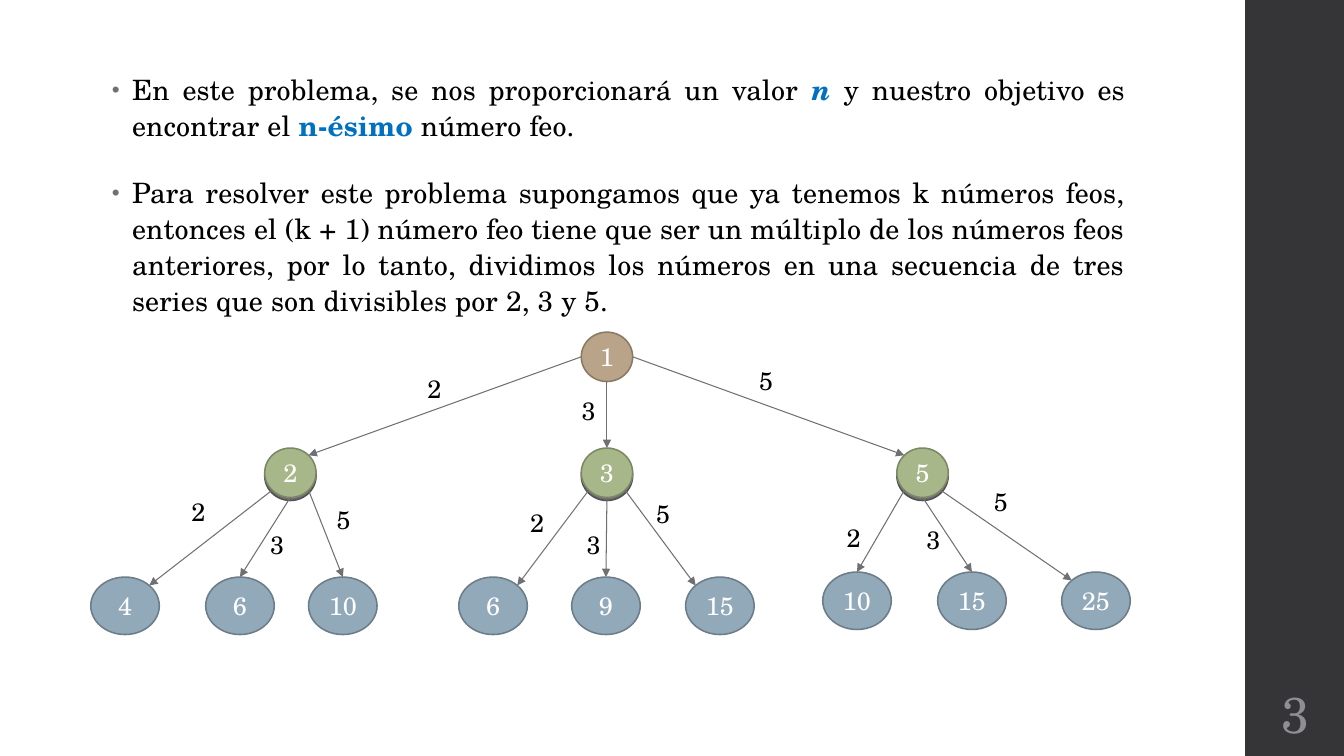
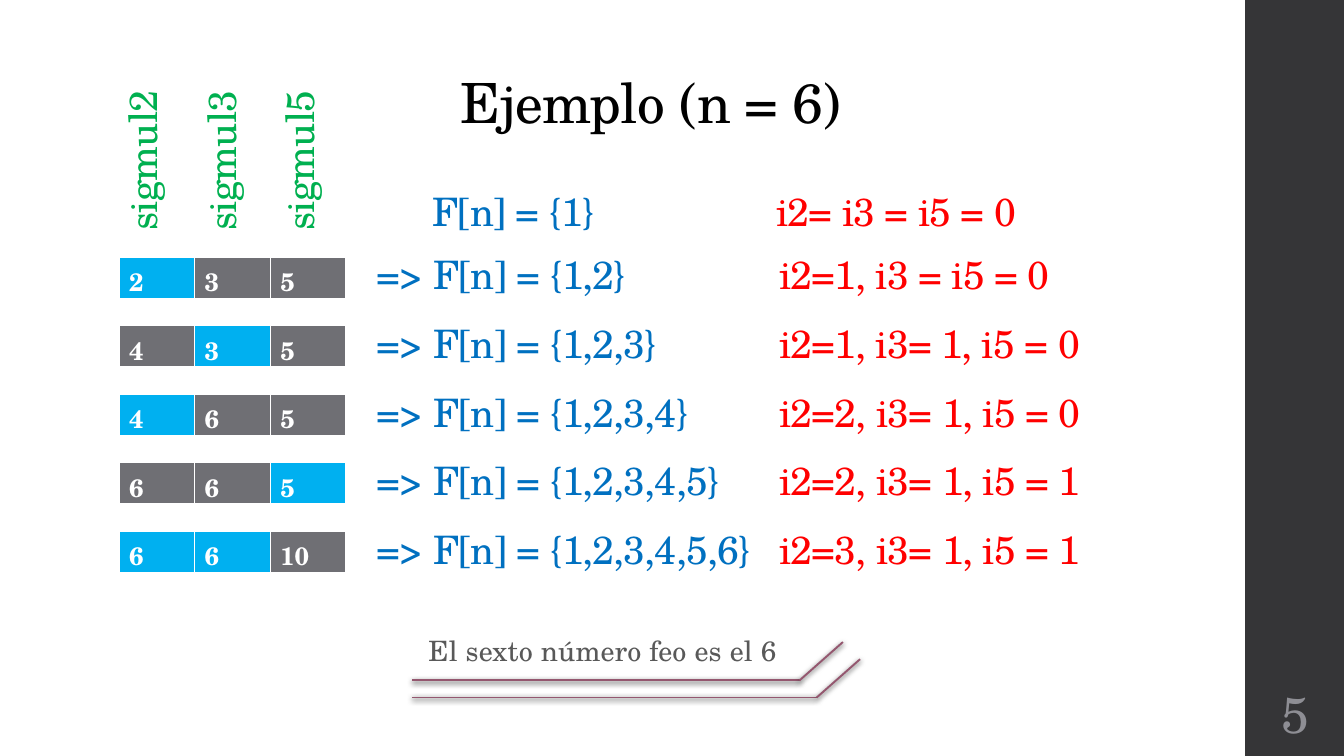
from dataclasses import dataclass
from math import cos, pi, sin
from typing import Any, NamedTuple

from lxml.etree import SubElement
from pptx import Presentation
from pptx.dml.color import RGBColor
from pptx.enum.shapes import MSO_CONNECTOR, MSO_SHAPE
from pptx.enum.text import MSO_ANCHOR, MSO_AUTO_SIZE, PP_ALIGN
from pptx.oxml.ns import qn
from pptx.slide import Slide
from pptx.util import Inches, Pt

FONT = "TeX Gyre Schola"
BLACK, WHITE, GRAY, DARK = "000000", "FFFFFF", "6F6F74", "353537"
BLUE, SKY, RED, GREEN = "0070C0", "00B0F0", "FF0000", "00B050"
TAN, OLIVE, STEEL = ("B9A489", "897965"), ("A7B789", "7C8765"), ("92A9B9", "6C7D89")
SHADE = (GRAY, "525256")


class Box(NamedTuple):
    x: float
    y: float
    w: float
    h: float


class Spot(NamedTuple):
    x: float
    y: float


@dataclass
class Node:
    text: str
    mid: Spot
    w: float
    h: float
    paint: tuple[str, str]

    def site(self, index: int) -> Spot:
        angle = pi / 2 + index * pi / 4
        return Spot(self.mid.x + self.w / 2 * cos(angle), self.mid.y - self.h / 2 * sin(angle))


class Branch(NamedTuple):
    text: str
    x: float
    start: int
    end: int
    tag: Spot


class Step(NamedTuple):
    cells: tuple[str, str, str]
    picks: tuple[int, ...]
    series: str
    index: str


FACTORS = ("2", "3", "5")
TRUNK = [
    Branch("2", 2.88, 2, 7, Spot(4.14, 3.65)),
    Branch("3", 6.02, 4, 0, Spot(5.67, 3.87)),
    Branch("5", 9.15, 6, 1, Spot(7.43, 3.58)),
]
LEAVES = [
    (6.01, [
        Branch("4", 1.24, 3, 7, Spot(1.8, 4.87)),
        Branch("6", 2.38, 4, 0, Spot(2.58, 5.2)),
        Branch("10", 3.4, 5, 0, Spot(3.24, 4.95)),
    ]),
    (6.01, [
        Branch("6", 4.89, 3, 7, Spot(5.16, 4.98)),
        Branch("9", 6.01, 4, 0, Spot(5.72, 5.2)),
        Branch("15", 7.14, 5, 1, Spot(6.41, 4.89)),
    ]),
    (5.96, [
        Branch("10", 8.5, 3, 0, Spot(8.3, 5.13)),
        Branch("15", 9.64, 4, 0, Spot(9.09, 5.15)),
        Branch("25", 10.87, 5, 1, Spot(9.76, 4.78)),
    ]),
]
STEPS = [
    Step(("2", "3", "5"), (0,), "{1,2}", "i2=1, i3 = i5 = 0"),
    Step(("4", "3", "5"), (1,), "{1,2,3}", "i2=1, i3= 1, i5 = 0"),
    Step(("4", "6", "5"), (0,), "{1,2,3,4}", "i2=2, i3= 1, i5 = 0"),
    Step(("6", "6", "5"), (2,), "{1,2,3,4,5}", "i2=2, i3= 1, i5 = 1"),
    Step(("6", "6", "10"), (0, 1), "{1,2,3,4,5,6}", "i2=3, i3= 1, i5 = 1"),
]
POINTS = [
    [
        ("En este problema, se nos proporcionará un valor ", {}),
        ("n", {"color": BLUE, "bold": True, "italic": True}),
        (" y nuestro objetivo es encontrar el ", {}),
        ("n-ésimo", {"color": BLUE, "bold": True}),
        (" número feo.", {}),
    ],
    [
        ("Para resolver este problema supongamos que ya tenemos k números feos, "
         "entonces el (k + 1) número feo tiene que ser un múltiplo de los números "
         "feos anteriores, por lo tanto, dividimos los números en una secuencia de "
         "tres series que son divisibles por 2, 3 y 5.", {}),
    ],
]


def shade(code: str) -> RGBColor:
    return RGBColor.from_string(code)


def put(para: Any, text: str, *, size: float = 18, color: str = BLACK, bold: bool = False,
        italic: bool = False, track: int = 0) -> None:
    run = para.add_run()
    run.text = text
    font = run.font
    font.name, font.size, font.bold, font.italic = FONT, Pt(size), bold, italic
    font.color.rgb = shade(color)
    if track:
        run._r.get_or_add_rPr().set("spc", str(track))


def place(shape: Any, box: Box) -> None:
    shape.left, shape.top, shape.width, shape.height = map(Inches, box)


def label(slide: Slide, text: str, box: Box, *, anchor: Any = MSO_ANCHOR.TOP,
          align: Any = PP_ALIGN.LEFT, lines: float = 1, turn: int = 0, **style: Any) -> None:
    shape = slide.shapes.add_textbox(*map(Inches, box))
    shape.rotation = turn
    frame = shape.text_frame
    frame.word_wrap = True
    frame.vertical_anchor = anchor
    para = frame.paragraphs[0]
    para.alignment, para.line_spacing = align, lines
    put(para, text, **style)


def head(slide: Slide, text: str, box: Box, **style: Any) -> None:
    label(slide, text, box, anchor=MSO_ANCHOR.BOTTOM, lines=0.9, size=28, track=-50, **style)


def base(slide: Slide, number: str) -> None:
    band = slide.shapes.add_shape(MSO_SHAPE.RECTANGLE, *map(Inches, Box(12.35, 0, 1, 7.5)))
    band.shadow.inherit = False
    band.fill.solid()
    band.fill.fore_color.rgb = shade(DARK)
    band.line.fill.background()
    label(slide, number, Box(12.35, 6.75, 1, 0.65), anchor=MSO_ANCHOR.MIDDLE,
          align=PP_ALIGN.CENTER, size=36, color="8E8E94")


def wire(slide: Slide, start: Spot, end: Spot, color: str, width: float) -> Any:
    line = slide.shapes.add_connector(MSO_CONNECTOR.STRAIGHT, *map(Inches, (*start, *end)))
    line.line.color.rgb = shade(color)
    line.line.width = Pt(width)
    SubElement(line.element.spPr, qn("a:effectLst"))
    return line


def arrow(slide: Slide, start: Spot, end: Spot) -> None:
    line = wire(slide, start, end, GRAY, 0.75)
    SubElement(line.get_or_add_ln(), qn("a:tailEnd"), type="triangle")


def rail(slide: Slide, start: Spot, end: Spot) -> None:
    line = wire(slide, start, end, "94576F", 1.35)
    glow = SubElement(line.element.spPr.find(qn("a:effectLst")), qn("a:outerShdw"),
                      blurRad=str(Pt(4)), dist=str(Pt(1.2)), dir="5400000", rotWithShape="0")
    tint = SubElement(glow, qn("a:srgbClr"), val=BLACK)
    SubElement(tint, qn("a:alpha"), val="75000")


def draw(slide: Slide, node: Node) -> None:
    box = Box(node.mid.x - node.w / 2, node.mid.y - node.h / 2, node.w, node.h)
    disc = slide.shapes.add_shape(MSO_SHAPE.OVAL, *map(Inches, box))
    disc.shadow.inherit = False
    disc.fill.solid()
    disc.fill.fore_color.rgb, disc.line.color.rgb = map(shade, node.paint)
    disc.line.width = Pt(1.1)
    if node.text:
        frame = disc.text_frame
        frame.word_wrap = False
        frame.vertical_anchor = MSO_ANCHOR.MIDDLE
        frame.paragraphs[0].alignment = PP_ALIGN.CENTER
        put(frame.paragraphs[0], node.text, color=WHITE)


def grow(slide: Slide, root: Node, limbs: list[Branch], kids: list[Node]) -> None:
    for limb, kid, factor in zip(limbs, kids, FACTORS):
        draw(slide, kid)
        arrow(slide, root.site(limb.start), kid.site(limb.end))
        label(slide, factor, Box(*limb.tag, 0.4, 0.4))


def list_points(body: Any) -> None:
    place(body, Box(1.01, 0.65, 10.25, 2.6))
    frame = body.text_frame
    frame.auto_size = MSO_AUTO_SIZE.NONE
    for index, parts in enumerate(POINTS):
        para = frame.add_paragraph() if index else frame.paragraphs[0]
        para.alignment, para.line_spacing = PP_ALIGN.JUSTIFY, 1.07
        para.space_before, para.space_after = Pt(14), Pt(8)
        props = para._p.get_or_add_pPr()
        props.set("marL", str(Inches(0.2)))
        props.set("indent", str(-Inches(0.2)))
        SubElement(SubElement(props, qn("a:buClr")), qn("a:srgbClr"), val=GRAY)
        SubElement(props, qn("a:buSzPct"), val="80000")
        SubElement(props, qn("a:buChar"), char="•")
        for text, style in parts:
            put(para, text, size=20, track=10, **style)


def tree_slide(deck: Any) -> None:
    slide = deck.slides.add_slide(deck.slide_layouts[1])
    title = slide.shapes.title
    title.element.getparent().remove(title.element)
    base(slide, "3")
    list_points(slide.placeholders[1])
    root = Node("1", Spot(6.02, 3.54), 0.51, 0.49, TAN)
    mids = [Node(limb.text, Spot(limb.x, 4.69), 0.51, 0.49, OLIVE) for limb in TRUNK]
    draw(slide, root)
    for node in mids:
        draw(slide, Node("", Spot(node.mid.x, node.mid.y + 0.03), node.w, node.h, SHADE))
    grow(slide, root, TRUNK, mids)
    for node, (y, limbs) in zip(mids, LEAVES):
        kids = [Node(limb.text, Spot(limb.x, y), 0.68, 0.57, STEEL) for limb in limbs]
        grow(slide, node, limbs, kids)


def table_row(slide: Slide, step: Step, y: float) -> None:
    box = Box(1.18, y, 2.25, 0.41)
    table = slide.shapes.add_table(1, len(step.cells), *map(Inches, box)).table
    for index, text in enumerate(step.cells):
        cell = table.cell(0, index)
        cell.fill.solid()
        cell.fill.fore_color.rgb = shade(SKY if index in step.picks else GRAY)
        put(cell.text_frame.paragraphs[0], text, color=WHITE, bold=True)


def sample_slide(deck: Any) -> None:
    slide = deck.slides.add_slide(deck.slide_layouts[5])
    base(slide, "5")
    title = slide.shapes.title
    place(title, Box(4.47, 0.49, 4.39, 0.9))
    frame = title.text_frame
    frame.auto_size = MSO_AUTO_SIZE.NONE
    frame.vertical_anchor = MSO_ANCHOR.BOTTOM
    para = frame.paragraphs[0]
    para.alignment, para.line_spacing = PP_ALIGN.LEFT, 0.9
    put(para, "Ejemplo (n = 6)", size=39.6, track=-50)
    for index, factor in enumerate(FACTORS):
        head(slide, f"sigmul{factor}", Box(0.61 + 0.78 * index, 1.3, 1.66, 0.51),
             turn=270, color=GREEN)
    head(slide, "F[n] = {1}", Box(4.19, 1.87, 3.4, 0.51), color=BLUE)
    head(slide, "i2= i3 = i5 = 0", Box(7.6, 1.87, 3.9, 0.51), color=RED)
    for index, step in enumerate(STEPS):
        y = 2.55 + 0.68 * index
        table_row(slide, step, y)
        head(slide, f"=> F[n] = {step.series}", Box(3.64, y - 0.05, 4, 0.51), color=BLUE)
        head(slide, step.index, Box(7.63, y - 0.05, 3.9, 0.51), color=RED)
    label(slide, "El sexto número feo es el 6", Box(4.15, 6.21, 4.22, 0.54),
          align=PP_ALIGN.JUSTIFY, lines=1.07, size=20, color="595959", track=10)
    for shift in (0, 0.17):
        bend = Spot(7.93 + shift, 6.75 + shift)
        rail(slide, Spot(4.09, bend.y), bend)
        rail(slide, bend, Spot(bend.x + 0.43, bend.y - 0.38))


def main() -> None:
    deck = Presentation()
    deck.slide_width, deck.slide_height = Inches(13.33), Inches(7.5)
    tree_slide(deck)
    sample_slide(deck)
    deck.save("out.pptx")


if __name__ == "__main__":
    main()
